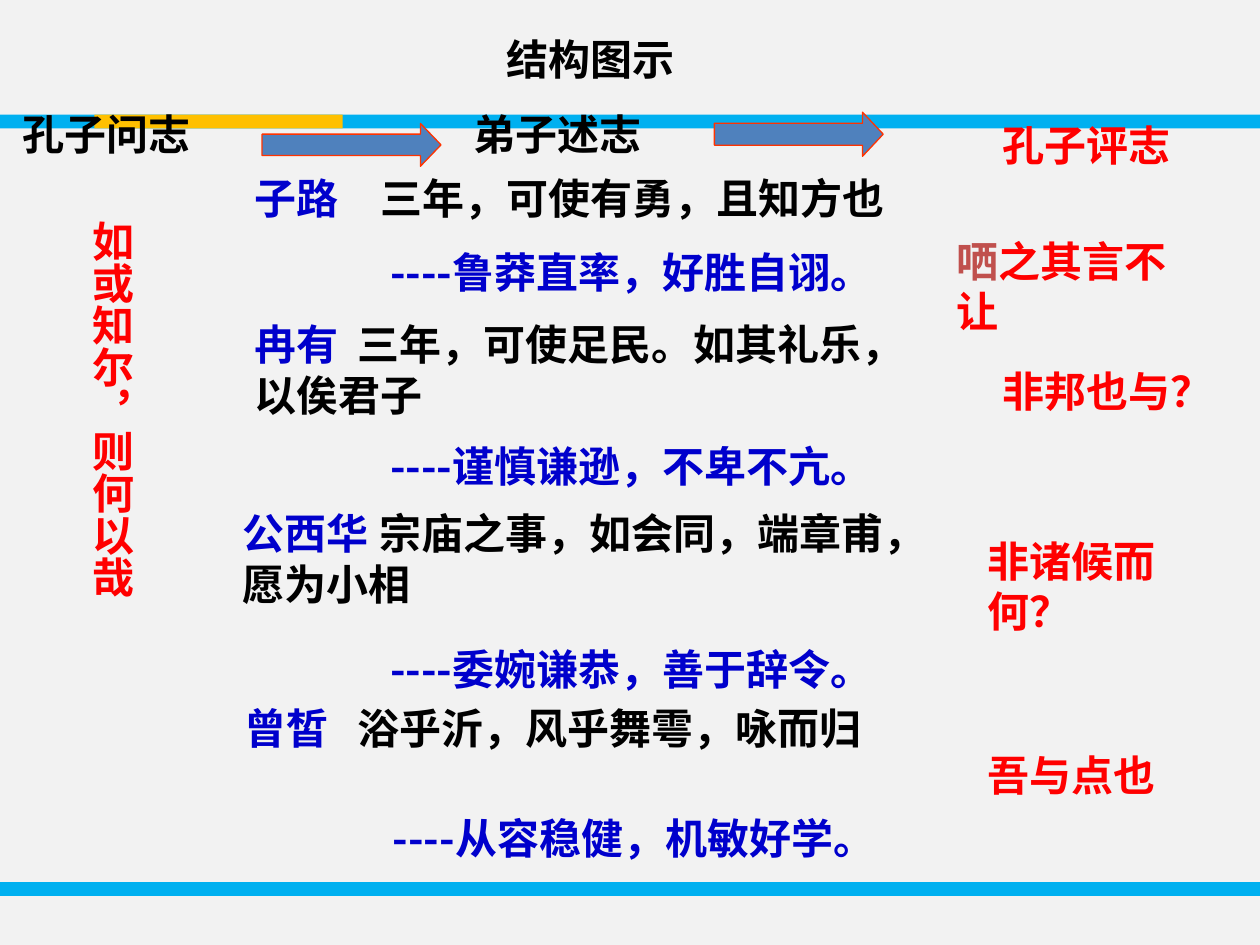
from pptx import Presentation
from pptx import util as u
from pptx.dml.color import RGBColor
from pptx.enum import shapes, text
from pptx.oxml.ns import qn
from lxml import etree

WIDTH, HEIGHT = u.Inches(10), u.Inches(7.5)
COLUMN, ROW = WIDTH / 100, HEIGHT / 75
FONT = "Noto Sans CJK SC"
COLORS = {"page": "F2F2F2", "bar": "00B0F0", "accent": "FFC000", "arrow": "4F81BD",
          "edge": "FF3300", "black": "000000", "red": "FF0000", "blue": "0000CC",
          "rust": "C0504D"}
FRAME = {"word_wrap": True, "margin_left": u.Inches(0.1), "margin_right": u.Inches(0.1),
         "margin_top": u.Inches(0.05), "margin_bottom": u.Inches(0.05)}
UPRIGHT = {"margin_left": u.Inches(0.05), "margin_right": u.Inches(0.05),
           "margin_top": u.Inches(0.1), "margin_bottom": u.Inches(0.1)}
LETTERS = {"name": FONT, "size": u.Pt(24), "bold": True}


def color(name):
    """Return the named colour."""
    return RGBColor.from_string(COLORS[name])


def place(left, top, width, height):
    """Turn grid columns and rows into lengths."""
    return [round(n * unit) for n, unit in
            ((left, COLUMN), (top, ROW), (width, COLUMN), (height, ROW))]


def apply(target, values):
    """Set every format value on the target."""
    for name, value in values.items():
        setattr(target, name, value)


def add_block(page, kind, area, fill):
    """Add a filled preset shape without a line."""
    block = page.shapes.add_shape(kind, *place(*area))
    block.shadow.inherit = False
    block.fill.solid()
    block.fill.fore_color.rgb = color(fill)
    block.line.fill.background()
    return block


def add_arrow(page, area, head):
    """Add an outlined right arrow."""
    arrow = add_block(page, shapes.MSO_SHAPE.RIGHT_ARROW, area, "arrow")
    arrow.adjustments[1] = head
    arrow.line.color.rgb = color("edge")
    arrow.line.width = u.Pt(0.75)


def add_words(page, area, *spans, align=text.PP_ALIGN.LEFT, tab=None, upright=False):
    """Add a text box of coloured spans."""
    box = page.shapes.add_textbox(*place(*area))
    frame = box.text_frame
    apply(frame, FRAME | (UPRIGHT if upright else {}))
    if upright:
        frame._txBody.bodyPr.set("vert", "eaVert")
    para = frame.paragraphs[0]
    para.alignment = align
    if tab:
        stops = etree.SubElement(para._p.get_or_add_pPr(), qn("a:tabLst"))
        etree.SubElement(stops, qn("a:tab"), pos=str(round(tab * COLUMN)), algn="l")
    for words, shade in spans:
        span = para.add_run()
        span.text = words
        apply(span.font, LETTERS)
        span.font.color.rgb = color(shade)
        etree.SubElement(span.font._element, qn("a:ea"), typeface=FONT)


def add_bars(page):
    """Draw the bars across the page."""
    for left, top, width, fill in ((0, 70, 100, "bar"), (0, 9.1, 100, "bar"),
                                   (7.5, 9.1, 19.7, "accent")):
        add_block(page, shapes.MSO_SHAPE.RECTANGLE, (left, top, width, 1.1), fill)


def add_headings(page):
    """Write the title, the three stages and the question."""
    add_words(page, (26.2, 2.2, 41.3, 5), ("结构图示", "black"), align=text.PP_ALIGN.CENTER)
    for left, top, width, words, shade in ((0.8, 8.1, 26.3, "孔子问志", "black"),
                                           (36.6, 8.1, 25, "弟子述志", "black"),
                                           (78.6, 9, 16.5, "孔子评志", "red")):
        add_words(page, (left, top, width, 5), (words, shade))
    add_words(page, (5.4, 16.5, 6, 49.2), ("如或知尔，则何以哉", "red"),
              align=text.PP_ALIGN.CENTER, upright=True)
    add_arrow(page, (20.8, 9.8, 14.2, 3.4), 0.48)
    add_arrow(page, (56.7, 8.9, 13.4, 3.5), 0.47)


def add_disciples(page):
    """Write each disciple's wish and the remark on it."""
    rows = (
        (19.2, 13.2, 56, 5, 10, "子路", "三年，可使有勇，且知方也", 30, 19.1, "鲁莽直率，好胜自诩。"),
        (19.2, 24.8, 56, 9, 8.2, "冉有", "三年，可使足民。如其礼乐，以俟君子", 30, 34.5, "谨慎谦逊，不卑不亢。"),
        (18.3, 39.8, 56.9, 9, 10.8, "公西华", "宗庙之事，如会同，端章甫，愿为小相", 30, 50.6, "委婉谦恭，善于辞令。"),
        (18.4, 55.3, 55.2, 5, 9, "曾皙", "浴乎沂，风乎舞雩，咏而归", 30.2, 64, "从容稳健，机敏好学。"))
    for left, top, width, height, tab, name, wish, indent, below, remark in rows:
        add_words(page, (left, top, width, height), (name + "\t", "blue"), (wish, "black"), tab=tab)
        add_words(page, (indent, below, 43, 5), ("----" + remark, "blue"))


def add_verdicts(page):
    """Write the master's verdicts."""
    add_words(page, (74.9, 18.2, 19.5, 9), ("哂", "rust"), ("之其言不让", "red"))
    for left, top, width, height, words in ((78.6, 28.5, 20.4, 5, "非邦也与？"),
                                            (77.4, 42, 16.7, 9, "非诸候而何？"),
                                            (77.4, 59, 16.7, 5, "吾与点也")):
        add_words(page, (left, top, width, height), (words, "red"))


def main():
    """Build and save the deck."""
    deck = Presentation()
    apply(deck, {"slide_width": WIDTH, "slide_height": HEIGHT})
    page = deck.slides.add_slide(deck.slide_layouts[6])
    page.background.fill.solid()
    page.background.fill.fore_color.rgb = color("page")
    for add in (add_bars, add_headings, add_disciples, add_verdicts):
        add(page)
    deck.save("out.pptx")


if __name__ == "__main__":
    main()
